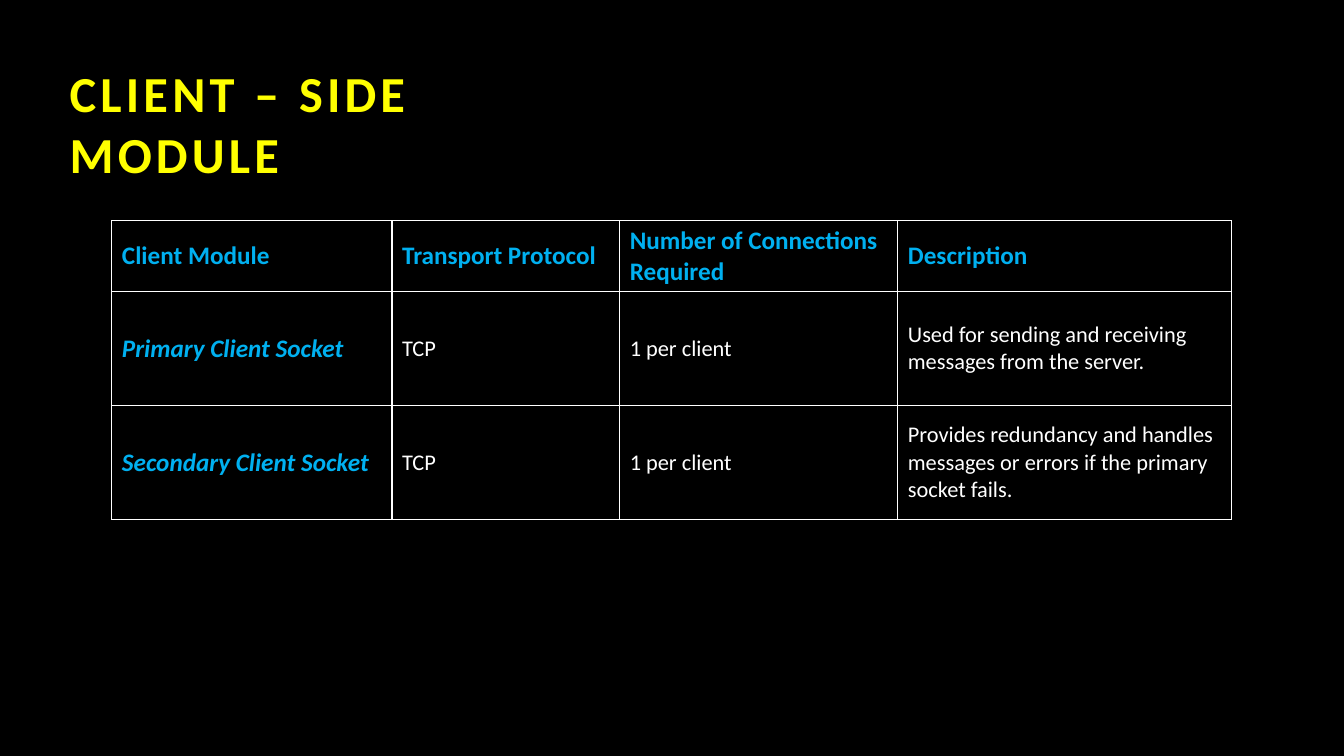
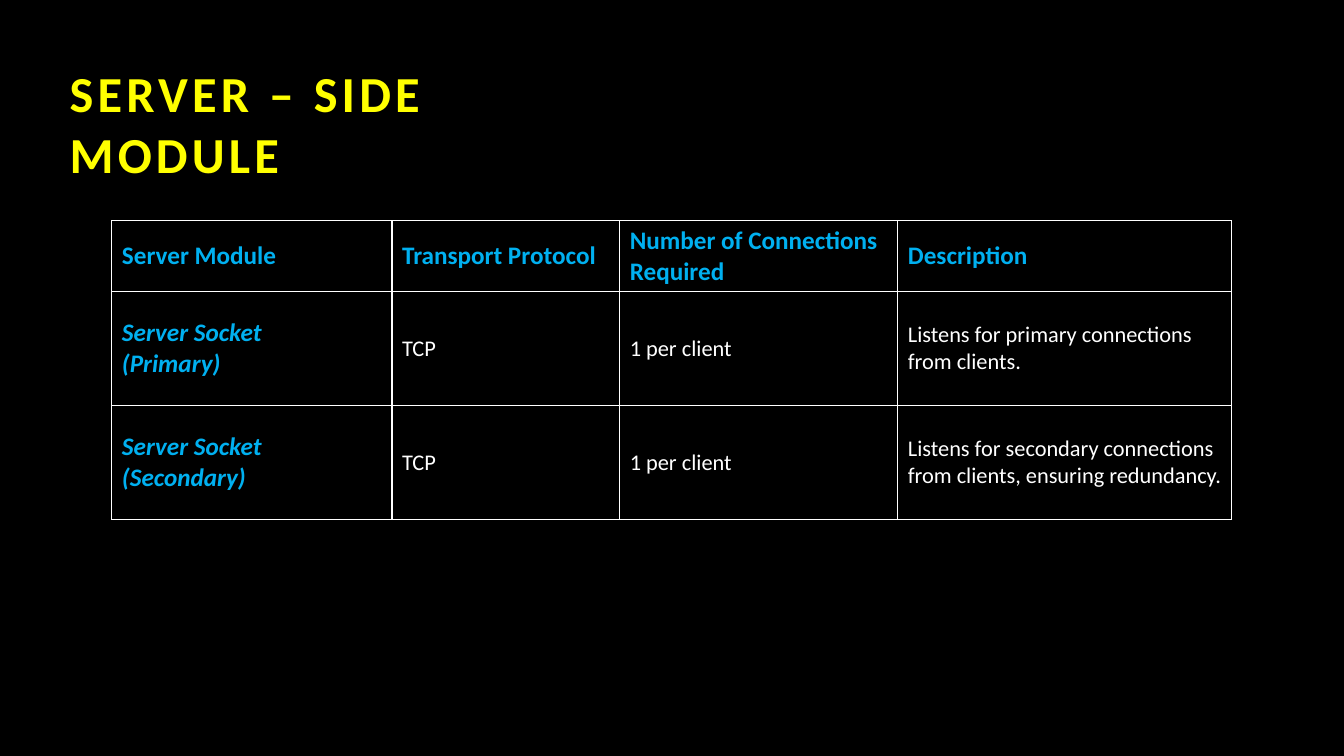
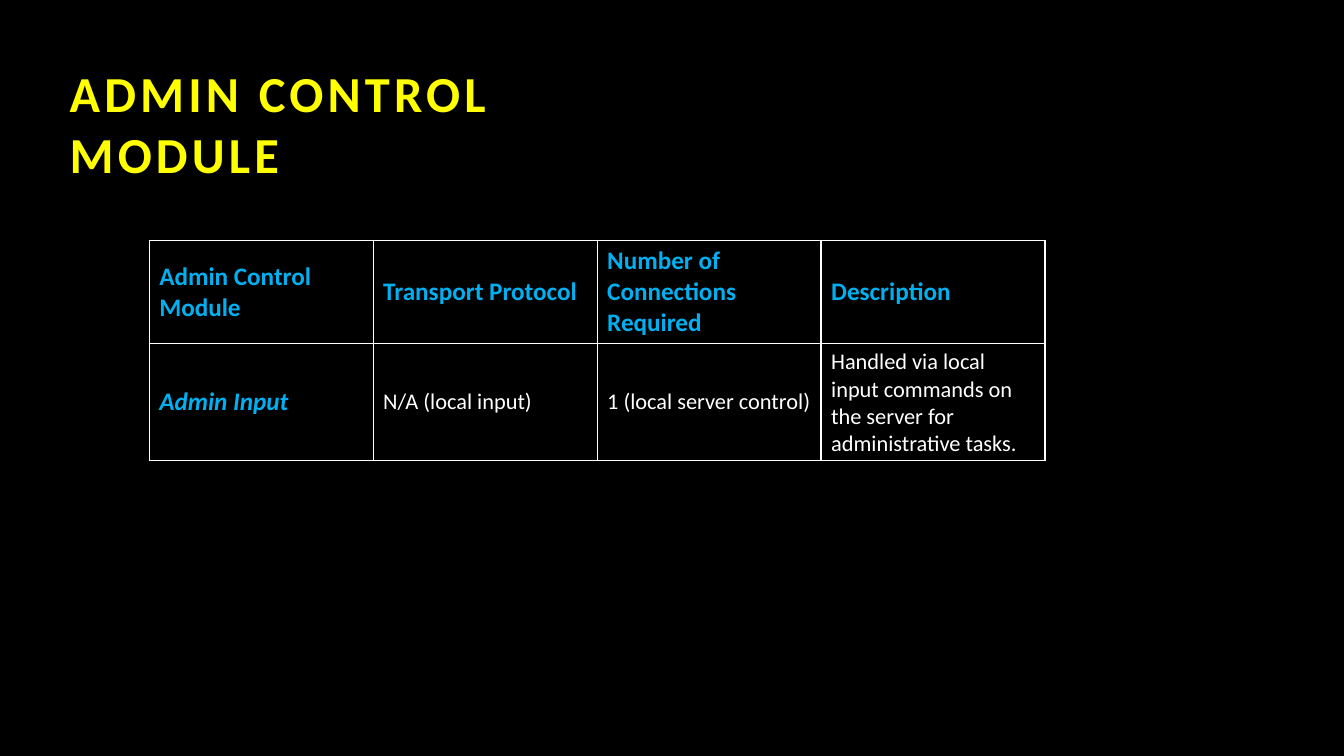
from dataclasses import dataclass

from lxml.etree import SubElement as Sub
from pptx import Presentation
from pptx.dml.color import RGBColor as RGB
from pptx.enum.text import MSO_ANCHOR as Anchor, MSO_AUTO_SIZE as Auto, PP_ALIGN as Align
from pptx.oxml.ns import qn
from pptx.util import Cm, Pt


@dataclass(frozen=True)
class Theme:
    """Colours, font and type sizes of the deck."""
    back: str = "000000"
    text: str = "FFFFFF"
    rule: str = "FFFFFF"
    title: str = "FFFF00"
    label: str = "00B0F0"
    font: str = "Calibri"
    big: int = 36
    mid: int = 18
    small: int = 16
    line: int = 1
    track: int = 3


@dataclass(frozen=True)
class Box:
    """A place on the slide, in centimetres."""
    x: float
    y: float
    w: float
    h: float = 0


T = Theme()
HEADS = ["Transport Protocol", "Number of Connections Required", "Description"]
WIDE = dict(box=Box(2.82, 5.56, 28.22), parts=(7.06, 5.74, 7.01, 8.41), rows=(1.79, 2.87, 2.87))
EVEN = dict(box=Box(3.76, 6.07, 22.58), parts=(1, 1, 1, 1), rows=(2.58, 2.95))
HEAD = Box(1.5, 1.45, 11.53, 3.33)
BROAD = Box(1.5, 1.45, 13, 3.33)

SLIDES = [
    ("CLIENT – SIDE\nMODULE", HEAD, WIDE, [
        ["Client Module", *HEADS],
        ["Primary Client Socket", "TCP", "1 per client",
         "Used for sending and receiving messages from the server."],
        ["Secondary Client Socket", "TCP", "1 per client",
         "Provides redundancy and handles messages or errors if the primary socket fails."],
    ]),
    ("SERVER – SIDE\nMODULE", HEAD, WIDE, [
        ["Server Module", *HEADS],
        ["Server Socket\n(Primary)", "TCP", "1 per client",
         "Listens for primary connections from clients."],
        ["Server Socket\n(Secondary)", "TCP", "1 per client",
         "Listens for secondary connections from clients, ensuring redundancy."],
    ]),
    ("ADMIN CONTROL\nMODULE", BROAD, EVEN, [
        ["Admin Control Module", *HEADS],
        ["Admin Input", "N/A (local input)", "1 (local server control)",
         "Handled via local input commands on the server for administrative tasks."],
    ]),
]


def write(frame, text, size=T.small, color=T.text, bold=False, italic=False, track=0):
    """Fill a text frame, one paragraph for each line of text."""
    frame.text = text
    for para in frame.paragraphs:
        para.alignment = Align.LEFT
        for run in para.runs:
            font = run.font
            font.name, font.size = T.font, Pt(size)
            font.bold, font.italic = bold, italic
            font.color.rgb = RGB.from_string(color)
            if track:
                font._element.set("spc", str(track * 100))


def put_title(slide, text, box):
    """Place the title placeholder in its box and write it."""
    shape = slide.shapes.title
    shape.left, shape.top = Cm(box.x), Cm(box.y)
    shape.width, shape.height = Cm(box.w), Cm(box.h)
    frame = shape.text_frame
    frame.word_wrap = True
    frame.auto_size = Auto.SHAPE_TO_FIT_TEXT
    frame.vertical_anchor = Anchor.TOP
    write(frame, text, size=T.big, color=T.title, bold=True, track=T.track)


def frame_cell(cell):
    """Rule all four sides of a cell and leave it unfilled."""
    props = cell._tc.get_or_add_tcPr()
    for side in ("lnL", "lnR", "lnT", "lnB"):
        line = Sub(props, qn(f"a:{side}"), w=str(Pt(T.line)))
        Sub(Sub(line, qn("a:solidFill")), qn("a:srgbClr"), val=T.rule)
    cell.fill.background()
    cell.vertical_anchor = Anchor.MIDDLE


def put_table(slide, data, box, parts, rows):
    """Place a ruled table whose columns share the width of its box."""
    shape = slide.shapes.add_table(len(rows), len(parts), Cm(box.x), Cm(box.y),
                                   Cm(box.w), Cm(sum(rows)))
    table = shape.table
    table.first_row = table.horz_banding = False
    for col, part in zip(table.columns, parts):
        col.width = Cm(box.w * part / sum(parts))
    for row, high in zip(table.rows, rows):
        row.height = Cm(high)
    for r, texts in enumerate(data):
        for c, text in enumerate(texts):
            cell = table.cell(r, c)
            frame_cell(cell)
            if r == 0 or c == 0:
                write(cell.text_frame, text, size=T.mid, color=T.label, bold=True, italic=r > 0)
            else:
                write(cell.text_frame, text)


def main():
    """Build and save the deck."""
    deck = Presentation()
    deck.slide_width, deck.slide_height = Cm(33.87), Cm(19.05)
    fill = deck.slide_master.background.fill
    fill.solid()
    fill.fore_color.rgb = RGB.from_string(T.back)
    plain = deck.slide_layouts.get_by_name("Title Only")
    for title, head, grid, data in SLIDES:
        slide = deck.slides.add_slide(plain)
        put_title(slide, title, head)
        put_table(slide, data, **grid)
    deck.save("out.pptx")


if __name__ == "__main__":
    main()
